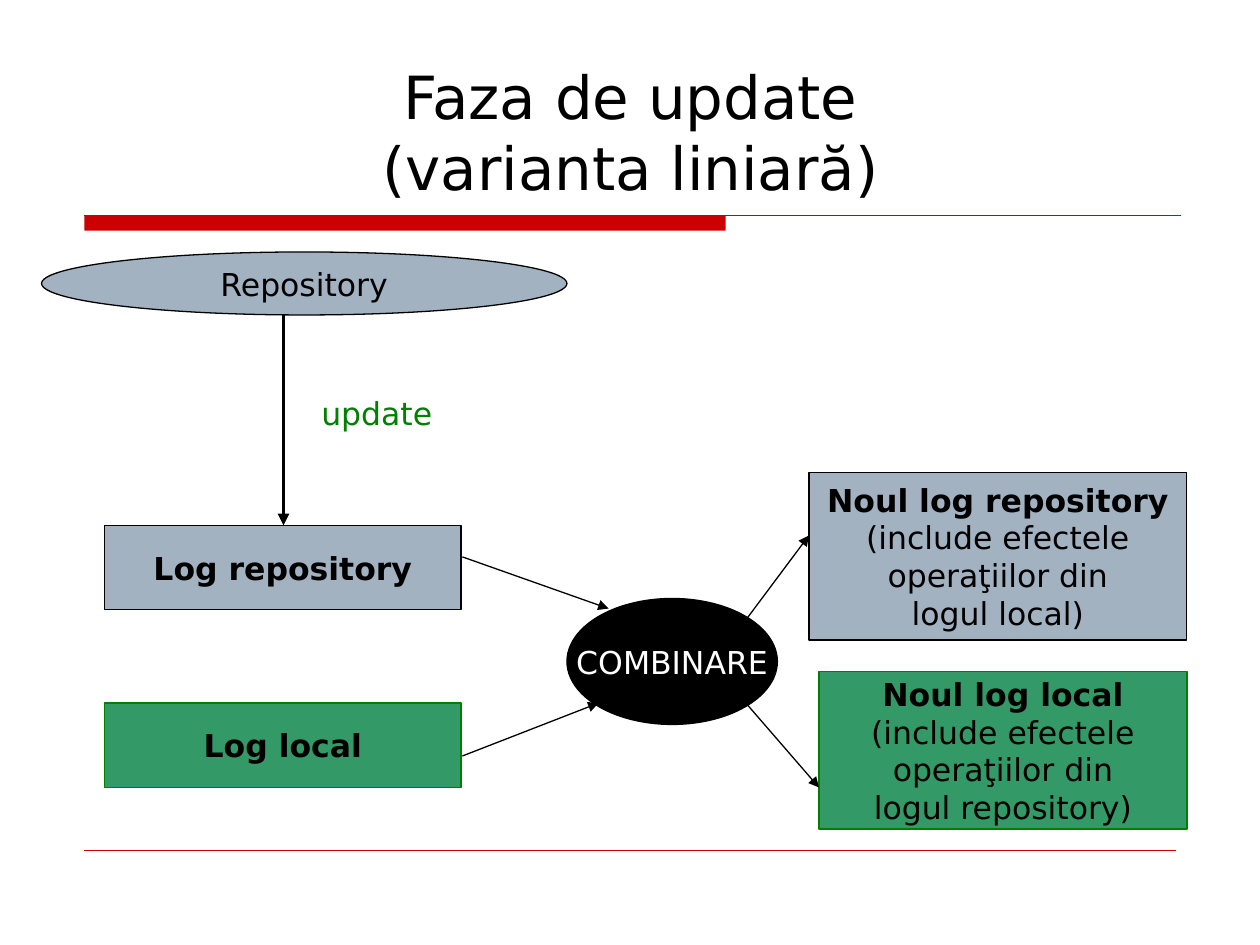
from lxml import etree
from pptx import Presentation
from pptx.dml.color import RGBColor
from pptx.enum.shapes import MSO_CONNECTOR, MSO_SHAPE
from pptx.enum.text import MSO_ANCHOR, PP_ALIGN
from pptx.oxml.ns import qn
from pptx.util import Inches, Pt

RECTANGLE = MSO_SHAPE.RECTANGLE
ELLIPSE = MSO_SHAPE.OVAL
STRAIGHT = MSO_CONNECTOR.STRAIGHT
CENTER = PP_ALIGN.CENTER
TOP = MSO_ANCHOR.TOP
MIDDLE = MSO_ANCHOR.MIDDLE
BOTTOM = MSO_ANCHOR.BOTTOM

BLACK = RGBColor(0x00, 0x00, 0x00)
WHITE = RGBColor(0xFF, 0xFF, 0xFF)
RED = RGBColor(0xCC, 0x00, 0x00)
GRAY_BLUE = RGBColor(0xA3, 0xB2, 0xC1)
GREEN = RGBColor(0x33, 0x99, 0x66)
DARK_GREEN = RGBColor(0x00, 0x80, 0x00)
FONT = "DejaVu Sans"


def write_text(shape, text, size=18, color=BLACK, bold_first=False, anchor=MIDDLE, wrap=False):
    """Write one centred paragraph per line, with the first one optionally bold."""
    frame = shape.text_frame
    frame.word_wrap = wrap
    frame.vertical_anchor = anchor
    for index, line in enumerate(text.split("\n")):
        paragraph = frame.add_paragraph() if index else frame.paragraphs[0]
        paragraph.text = line
        paragraph.alignment = CENTER
        for run in paragraph.runs:
            run.font.name = FONT
            run.font.size = Pt(size)
            run.font.bold = bold_first and index == 0
            run.font.color.rgb = color


def add_label(slide, box, text, **text_format):
    """Add a wrapping text box."""
    shape = slide.shapes.add_textbox(*map(Inches, box))
    write_text(shape, text, wrap=True, **text_format)


def add_node(slide, kind, box, fill, line=None, text="", **text_format):
    """Add a filled shape with optional outline and text."""
    shape = slide.shapes.add_shape(kind, *map(Inches, box))
    shape.shadow.inherit = False
    shape.fill.solid()
    shape.fill.fore_color.rgb = fill
    if line is None:
        shape.line.fill.background()
    else:
        shape.line.color.rgb = line
        shape.line.width = Pt(0.75)
    if text:
        write_text(shape, text, **text_format)


def add_line(slide, start, end, color=BLACK, width=0.75, arrow=True):
    """Add a straight line, with an arrowhead at its end by default."""
    connector = slide.shapes.add_connector(STRAIGHT, *map(Inches, start + end))
    connector.line.color.rgb = color
    connector.line.width = Pt(width)
    if arrow:
        etree.SubElement(connector.line._get_or_add_ln(), qn("a:tailEnd"), type="triangle")
    etree.SubElement(connector._element.spPr, qn("a:effectLst"))


def add_frame(slide):
    """Add the title and the red rules above and below the content."""
    add_node(slide, RECTANGLE, (0.67, 1.71, 5.09, 0.12), RED)
    add_line(slide, (0.67, 1.71), (9.37, 1.71), color=RED, arrow=False)
    add_line(slide, (0.67, 6.75), (9.33, 6.75), color=RED, width=0.25, arrow=False)
    add_label(slide, (0.63, 0.33, 8.75, 1.33), "Faza de update\v(varianta liniară)",
              size=34, anchor=BOTTOM)


def add_diagram(slide):
    """Add the logs, the merge step and the arrows between them."""
    new_log = "Noul log {}\n(include efectele\noperaţiilor din\nlogul {})"
    add_node(slide, ELLIPSE, (0.33, 2, 4.17, 0.5), GRAY_BLUE, BLACK, "Repository")
    add_line(slide, (2.25, 2.5), (2.25, 4.17), width=2.25)
    add_label(slide, (2.42, 3.08, 1.14, 0.4), "update", color=DARK_GREEN, anchor=TOP)

    boxes = [
        ((0.83, 4.17, 2.83, 0.67), GRAY_BLUE, BLACK, "Log repository"),
        ((0.83, 5.58, 2.83, 0.67), GREEN, DARK_GREEN, "Log local"),
        ((6.42, 3.75, 3, 1.33), GRAY_BLUE, BLACK, new_log.format("repository", "local")),
        ((6.5, 5.33, 2.92, 1.25), GREEN, DARK_GREEN, new_log.format("local", "repository")),
    ]
    for box, fill, line, text in boxes:
        add_node(slide, RECTANGLE, box, fill, line, text, bold_first=True)
    add_node(slide, ELLIPSE, (4.5, 4.75, 1.67, 1), BLACK, BLACK, "COMBINARE", color=WHITE)

    arrows = [
        ((3.67, 4.42), (4.83, 4.83)),
        ((3.67, 6), (4.75, 5.58)),
        ((5.92, 4.92), (6.42, 4.25)),
        ((5.92, 5.58), (6.5, 6.25)),
    ]
    for start, end in arrows:
        add_line(slide, start, end)


def main():
    """Build the slide and save it."""
    presentation = Presentation()
    presentation.slide_width = Inches(10)
    presentation.slide_height = Inches(7.5)
    slide = presentation.slides.add_slide(presentation.slide_layouts[6])
    add_frame(slide)
    add_diagram(slide)
    presentation.save("out.pptx")


if __name__ == "__main__":
    main()
